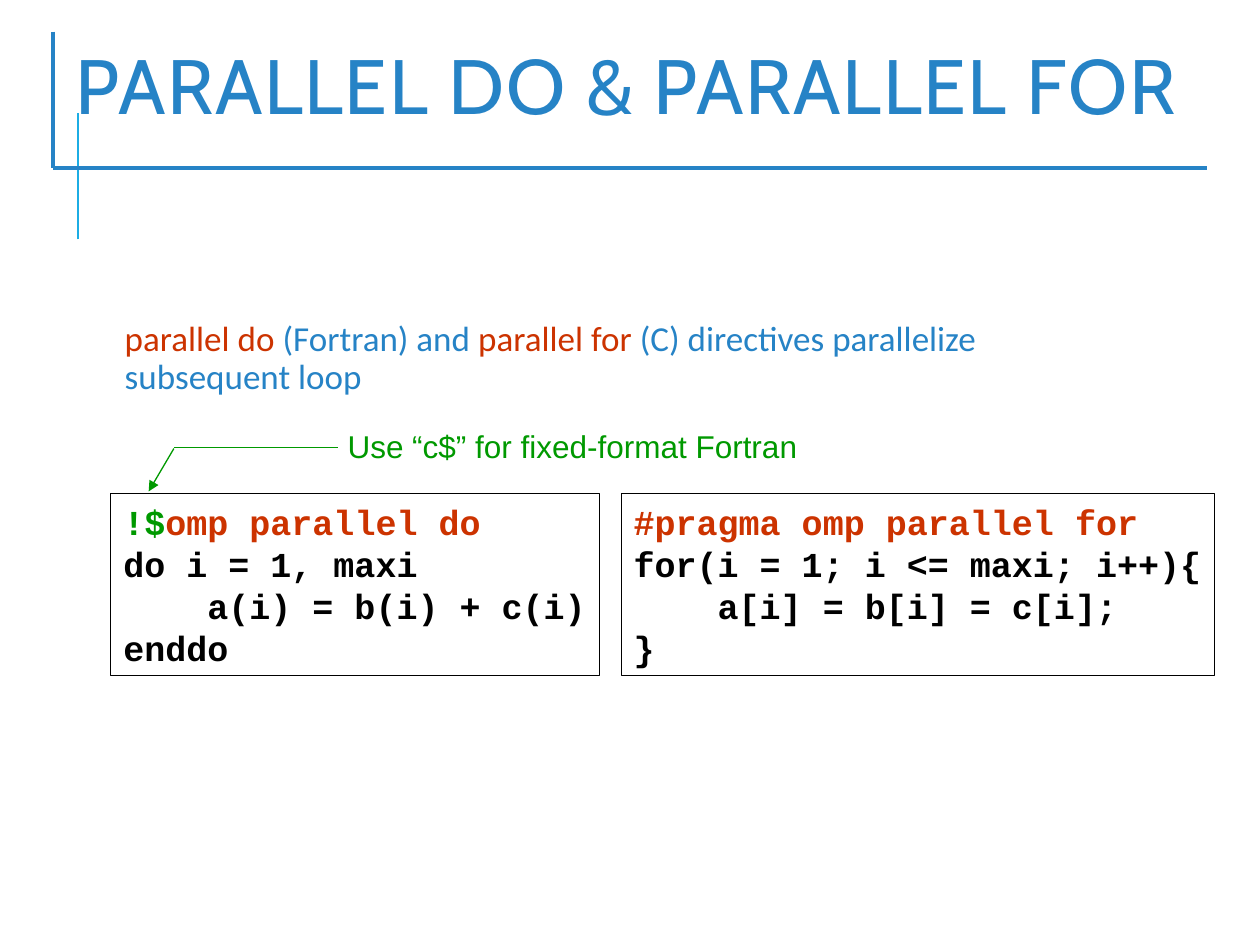
from lxml import etree
from pptx import Presentation
from pptx import util as u
from pptx.dml.color import RGBColor
from pptx.enum import shapes, text
from pptx.oxml.ns import qn

WIDTH, HEIGHT = 10, 7.5
BLUE, CYAN, RED, GREEN, BLACK = "2683C6", "1CADE4", "CC3300", "009900", "000000"

# Frame around the title
FRAME_LEFT, FRAME_TOP, FRAME_BOTTOM = 0.42, 0.25, 1.33
# Code boxes share a row
CODE_TOP, CODE_HEIGHT = 3.92, 1.44


def color(hex_code):
    return RGBColor.from_string(hex_code)


def inches(*lengths):
    return [u.Inches(length) for length in lengths]


def add_line(slide, start, end, hex_code, width, arrow=False):
    line = slide.shapes.add_connector(
        shapes.MSO_CONNECTOR.STRAIGHT, *inches(*start, *end))
    line.line.color.rgb = color(hex_code)
    line.line.width = u.Pt(width)
    if arrow:
        tail = etree.SubElement(line.line._get_or_add_ln(), qn("a:tailEnd"))
        tail.set("type", "triangle")
    etree.SubElement(line._element.spPr, qn("a:effectLst"))


def write(paragraph, runs, font, size, bold=False):
    """Fill a paragraph with (wording, colour) runs."""
    paragraph.alignment = text.PP_ALIGN.LEFT
    paragraph.font.name = font
    paragraph.font.size = u.Pt(size)
    paragraph.font.bold = bold
    for wording, hex_code in runs:
        run = paragraph.add_run()
        run.text = wording
        run.font.color.rgb = color(hex_code)


def add_text(slide, box, runs, font, size):
    frame = slide.shapes.add_textbox(*inches(*box)).text_frame
    frame.word_wrap = True
    paragraph = frame.paragraphs[0]
    write(paragraph, runs, font, size)
    return frame, paragraph


def add_code(slide, left, width, lines):
    box = slide.shapes.add_shape(
        shapes.MSO_SHAPE.RECTANGLE, *inches(left, CODE_TOP, width, CODE_HEIGHT))
    box.shadow.inherit = False
    box.fill.background()
    box.line.color.rgb = color(BLACK)
    box.line.width = u.Pt(0.5)
    frame = box.text_frame
    frame.word_wrap = False
    frame.auto_size = text.MSO_AUTO_SIZE.SHAPE_TO_FIT_TEXT
    frame.vertical_anchor = text.MSO_ANCHOR.TOP
    for number, runs in enumerate(lines):
        paragraph = frame.add_paragraph() if number else frame.paragraphs[0]
        write(paragraph, runs, "Courier New", 20, bold=True)


def add_title(slide):
    frame, paragraph = add_text(
        slide, (0.5, 0.25, 9, 0.97),
        [("PARALLEL DO & PARALLEL FOR", BLUE)], "Cabin", 44)
    frame.vertical_anchor = text.MSO_ANCHOR.MIDDLE
    paragraph.line_spacing = 0.8
    paragraph.runs[0].font._element.set("spc", "100")

    corner = (FRAME_LEFT, FRAME_BOTTOM)
    add_line(slide, corner, (WIDTH - FRAME_LEFT, FRAME_BOTTOM), BLUE, 2.25)
    add_line(slide, (FRAME_LEFT, FRAME_TOP), corner, BLUE, 2.25)


def add_statement(slide):
    frame, paragraph = add_text(
        slide, (0.84, 2.5, 7.97, 4.4),
        [("parallel do ", RED), ("(Fortran) and ", BLUE), ("parallel for ", RED),
         ("(C) directives parallelize subsequent loop", BLUE)], "Calibri", 20)
    frame.margin_left = u.Inches(0.15)
    frame.margin_right = frame.margin_top = frame.margin_bottom = u.Inches(0.05)
    paragraph.line_spacing = 0.9


def add_sentinel_note(slide):
    bend = 1.38
    add_line(slide, (bend, 3.55), (2.68, 3.55), GREEN, 0.75)
    add_line(slide, (bend, 3.56), (1.18, 3.9), GREEN, 0.75, arrow=True)
    add_text(slide, (2.66, 3.34, 4.05, 0.4),
             [("Use “c$” for fixed-format Fortran", GREEN)], "Arial", 18)


def main():
    deck = Presentation()
    deck.slide_width, deck.slide_height = inches(WIDTH, HEIGHT)
    slide = deck.slides.add_slide(deck.slide_layouts[6])

    # Accent line and title
    add_line(slide, (0.62, 1.9), (0.62, 0.9), CYAN, 1.5)
    add_title(slide)

    # Statement
    add_statement(slide)

    # C and Fortran examples
    add_code(slide, 4.93, 4.71, [
        [("#pragma omp parallel for", RED)],
        [("for(i = 1; i <= maxi; i++){", BLACK)],
        [("    a[i] = b[i] = c[i];", BLACK)],
        [("}", BLACK)],
    ])
    add_code(slide, 0.88, 3.88, [
        [("!$", GREEN), ("omp parallel do", RED)],
        [("do i = 1, maxi", BLACK)],
        [("    a(i) = b(i) + c(i)", BLACK)],
        [("enddo", BLACK)],
    ])

    # Note pointing at the Fortran sentinel
    add_sentinel_note(slide)

    deck.save("out.pptx")


if __name__ == "__main__":
    main()
